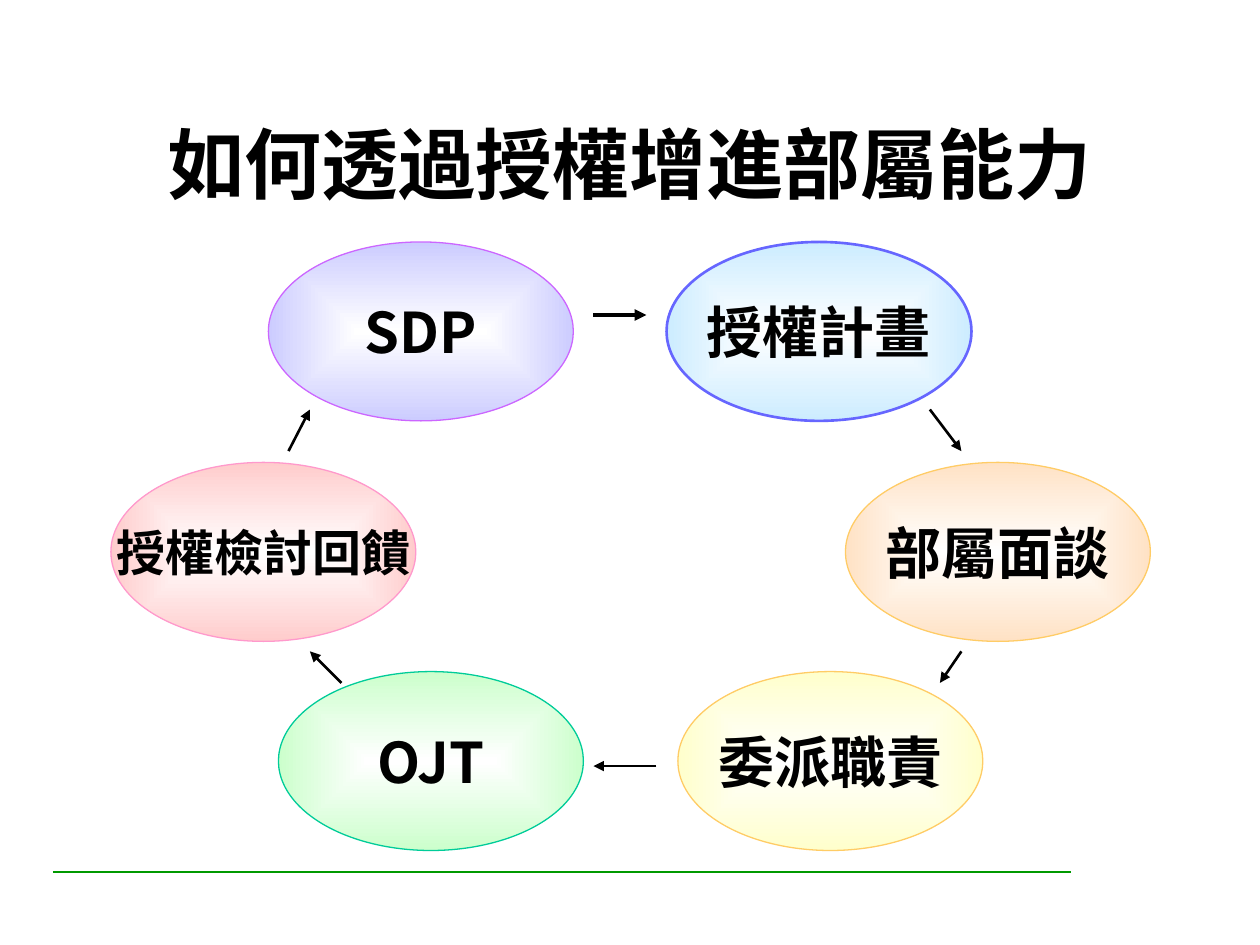
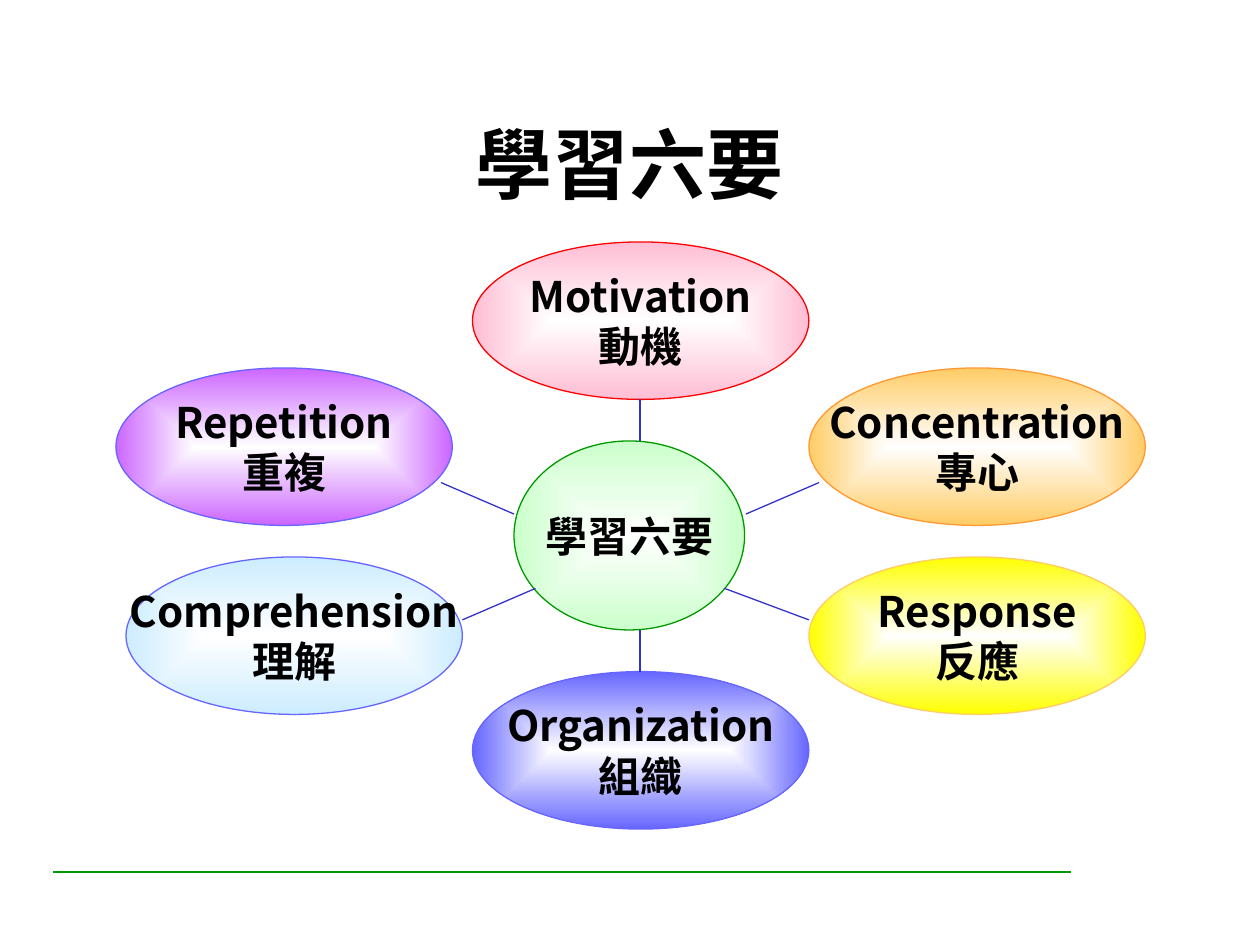
from dataclasses import dataclass

from lxml.etree import SubElement
from pptx import Presentation
from pptx.dml.color import RGBColor
from pptx.enum.shapes import MSO_CONNECTOR, MSO_SHAPE
from pptx.enum.text import MSO_ANCHOR, MSO_AUTO_SIZE, PP_ALIGN
from pptx.oxml.ns import qn
from pptx.presentation import Presentation as Deck
from pptx.slide import Slide
from pptx.text.text import TextFrame
from pptx.util import Inches, Pt

FONT = "Noto Sans CJK SC"
TITLE_ONLY = 5
COLORS = {
    "text": "000000", "white": "FFFFFF", "rule": "009900", "spoke": "3333CC",
    "sky": "CCECFF", "peach": "FFE2C5", "cream": "FFFFCC", "mint": "CCFFCC",
    "lavender": "CCCCFF", "blush": "FFCCCC", "pink": "FFBDD3",
    "blue": "6666FF", "gold": "FFCC66", "teal": "00CC99", "purple": "CC66FF",
    "rose": "FF99CC", "red": "FF0000", "orange": "FF9933", "yellow": "FFFF00",
}


@dataclass
class Bubble:
    lines: list[str]
    left: float
    top: float
    fill: str
    outline: str
    size: int
    width: float
    height: float
    weight: float = 0.75


@dataclass
class Line:
    x1: float
    y1: float
    x2: float
    y2: float
    color: str
    weight: float
    arrow: bool = False


def step(text: str, left: float, top: float, fill: str, outline: str,
         size: int = 32, weight: float = 0.75) -> Bubble:
    return Bubble([text], left, top, fill, outline, size, 2.42, 1.42, weight)


def essential(english: str, chinese: str, left: float, top: float,
              fill: str, outline: str) -> Bubble:
    return Bubble([english, chinese], left, top, fill, outline, 24, 2.67, 1.25)


def arrow(x1: float, y1: float, x2: float, y2: float, weight: float = 1.5) -> Line:
    return Line(x1, y1, x2, y2, "text", weight, True)


def spoke(x1: float, y1: float, x2: float, y2: float) -> Line:
    return Line(x1, y1, x2, y2, "spoke", 0.75)


FOOTER_RULE = Line(0.42, 6.92, 8.5, 6.92, "rule", 1.5)

CYCLE_STEPS = [
    step("授權計畫", 5.29, 1.92, "sky", "blue", weight=1.5),
    step("部屬面談", 6.71, 3.67, "peach", "gold"),
    step("委派職責", 5.38, 5.33, "cream", "gold"),
    step("OJT", 2.21, 5.33, "mint", "teal"),
    step("SDP", 2.13, 1.92, "lavender", "purple"),
    step("授權檢討回饋", 0.88, 3.67, "blush", "rose", size=28),
]
CYCLE_ARROWS = [
    arrow(7.38, 3.25, 7.63, 3.58),
    arrow(7.63, 5.17, 7.46, 5.42),
    arrow(5.21, 6.08, 4.71, 6.08),
    arrow(2.71, 5.42, 2.46, 5.17),
    arrow(2.29, 3.58, 2.46, 3.25),
    arrow(4.71, 2.5, 5.13, 2.5, weight=2.25),
]

ESSENTIALS = [
    Bubble(["學習六要"], 4.08, 3.5, "mint", "rule", 24, 1.83, 1.5),
    essential("Motivation", "動機", 3.75, 1.92, "pink", "red"),
    essential("Organization", "組織", 3.75, 5.33, "blue", "blue"),
    essential("Concentration", "專心", 6.42, 2.92, "gold", "orange"),
    essential("Repetition", "重複", 0.92, 2.92, "purple", "blue"),
    essential("Comprehension", "理解", 1, 4.42, "sky", "blue"),
    essential("Response", "反應", 6.42, 4.42, "yellow", "gold"),
]
SPOKES = [
    spoke(5.08, 3.17, 5.08, 3.5),
    spoke(5.08, 5, 5.08, 5.33),
    spoke(3.5, 3.83, 4.08, 4.08),
    spoke(3.67, 4.92, 4.25, 4.67),
    spoke(5.92, 4.08, 6.5, 3.83),
    spoke(5.75, 4.67, 6.42, 4.92),
]


def rgb(name: str) -> RGBColor:
    return RGBColor.from_string(COLORS[name])


def write_lines(tf: TextFrame, lines: list[str], size: int) -> None:
    tf.vertical_anchor = MSO_ANCHOR.MIDDLE
    for i, text in enumerate(lines):
        p = tf.add_paragraph() if i else tf.paragraphs[0]
        p.alignment = PP_ALIGN.CENTER
        r = p.add_run()
        r.text = text
        r.font.size = Pt(size)
        r.font.bold = True
        r.font.color.rgb = rgb("text")
        r.font.name = FONT
        SubElement(r.font._element, qn("a:ea")).set("typeface", FONT)


def add_line(slide: Slide, line: Line) -> None:
    sp = slide.shapes.add_connector(
        MSO_CONNECTOR.STRAIGHT, Inches(line.x1), Inches(line.y1),
        Inches(line.x2), Inches(line.y2))
    sp.line.color.rgb = rgb(line.color)
    sp.line.width = Pt(line.weight)
    if line.arrow:
        SubElement(sp.line._get_or_add_ln(), qn("a:tailEnd")).set("type", "triangle")
    SubElement(sp._element.spPr, qn("a:effectLst"))


def add_bubble(slide: Slide, bubble: Bubble) -> None:
    """Draw an ellipse that fades from a white centre to its colour."""
    sp = slide.shapes.add_shape(
        MSO_SHAPE.OVAL, Inches(bubble.left), Inches(bubble.top),
        Inches(bubble.width), Inches(bubble.height))
    sp.shadow.inherit = False
    sp.fill.gradient()
    for stop, color in zip(sp.fill.gradient_stops, ("white", bubble.fill)):
        stop.color.rgb = rgb(color)
    grad = sp._element.spPr.find(qn("a:gradFill"))
    grad.remove(grad.find(qn("a:lin")))
    shade = SubElement(grad, qn("a:path"))
    shade.set("path", "rect")
    center = SubElement(shade, qn("a:fillToRect"))
    for side in "ltrb":
        center.set(side, "50000")
    sp.line.color.rgb = rgb(bubble.outline)
    sp.line.width = Pt(bubble.weight)
    sp.text_frame.word_wrap = False
    write_lines(sp.text_frame, bubble.lines, bubble.size)


def add_diagram(prs: Deck, title: str, bubbles: list[Bubble], lines: list[Line]) -> None:
    slide = prs.slides.add_slide(prs.slide_layouts[TITLE_ONLY])
    sp = slide.shapes.title
    sp.left, sp.top = Inches(0.81), Inches(0.73)
    sp.width, sp.height = Inches(8.38), Inches(1.13)
    sp.text_frame.auto_size = MSO_AUTO_SIZE.NONE
    write_lines(sp.text_frame, [title], 44)
    add_line(slide, FOOTER_RULE)
    for bubble in bubbles:
        add_bubble(slide, bubble)
    for line in lines:
        add_line(slide, line)


def main() -> None:
    prs = Presentation()
    prs.slide_width, prs.slide_height = Inches(10), Inches(7.5)
    add_diagram(prs, "如何透過授權增進部屬能力", CYCLE_STEPS, CYCLE_ARROWS)
    add_diagram(prs, "學習六要", ESSENTIALS, SPOKES)
    prs.save("out.pptx")


if __name__ == "__main__":
    main()
